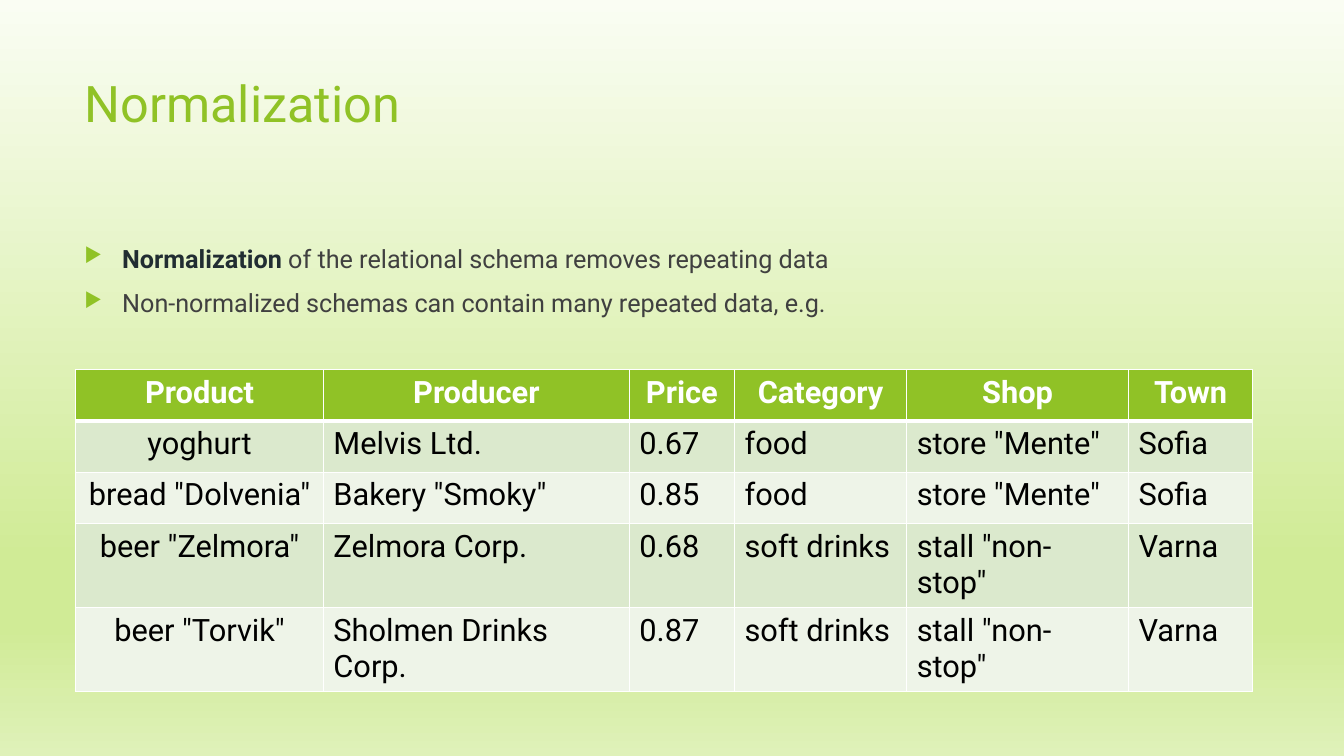
"""Build the Normalization slide with its example table."""
from lxml import etree
from pptx import Presentation
from pptx import util as u
from pptx.dml.color import RGBColor
from pptx.enum import text
from pptx.oxml import ns

FONT = "Roboto"
GREEN = RGBColor(0x90, 0xC2, 0x26)
DARK = RGBColor(0x21, 0x2D, 0x32)
GRAY = RGBColor(0x40, 0x40, 0x40)
BLACK = RGBColor(0, 0, 0)
WHITE = RGBColor(0xFF, 0xFF, 0xFF)
BANDS = [RGBColor(0xDB, 0xE9, 0xCD), RGBColor(0xEE, 0xF4, 0xE8)]
BACKGROUND = [(0, "FAFDF3"), (74, "D0EB96"), (83, "D0EB96"), (100, "DFF1B9")]

BULLETS = [
    [("Normalization", True, DARK),
     (" of the relational schema removes repeating data", False, GRAY)],
    [("Non-normalized schemas can contain many repeated data, e.g.", False, GRAY)],
]
COLUMN_WIDTHS = [6.24, 7.71, 2.65, 4.34, 5.59, 3.13]
ROW_HEIGHTS = [1.29, 1.29, 1.29, 1.35, 1.35]
PRODUCTS = [
    ["Product", "Producer", "Price", "Category", "Shop", "Town"],
    ["yoghurt", "Melvis Ltd.", "0.67", "food", 'store "Mente"', "Sofia"],
    ['bread "Dolvenia"', 'Bakery "Smoky"', "0.85", "food", 'store "Mente"', "Sofia"],
    ['beer "Zelmora"', "Zelmora Corp.", "0.68", "soft drinks", 'stall "non-stop"', "Varna"],
    ['beer "Torvik"', "Sholmen Drinks Corp.", "0.87", "soft drinks", 'stall "non-stop"', "Varna"],
]


def add_element(parent, tag, **attributes):
    return etree.SubElement(parent, ns.qn(tag), attributes)


def write(paragraph, words, size, color, bold=False, align=text.PP_ALIGN.LEFT):
    paragraph.alignment = align
    run = paragraph.add_run()
    run.text = words
    run.font.name = FONT
    run.font.size = u.Pt(size)
    run.font.bold = bold
    run.font.color.rgb = color


class SlideBuilder:
    def __init__(self, presentation):
        self.slide = presentation.slides.add_slide(presentation.slide_layouts[5])

    def background(self, stops):
        fill = self.slide.background.fill
        fill.gradient()
        fill.gradient_angle = 270
        stop_list = next(self.slide.element.iter(ns.qn("a:gsLst")))
        for stop in list(stop_list):
            stop_list.remove(stop)
        for position, color in stops:
            stop = add_element(stop_list, "a:gs", pos=str(position * 1000))
            add_element(stop, "a:srgbClr", val=color)

    def title(self, words, left, top, width, height):
        shape = self.slide.shapes.title
        shape.left, shape.top = u.Cm(left), u.Cm(top)
        shape.width, shape.height = u.Cm(width), u.Cm(height)
        shape.text_frame.vertical_anchor = text.MSO_ANCHOR.TOP
        write(shape.text_frame.paragraphs[0], words, 36, GREEN)

    def text_box(self, left, top, width, height, anchor=text.MSO_ANCHOR.TOP):
        shape = self.slide.shapes.add_textbox(
            u.Cm(left), u.Cm(top), u.Cm(width), u.Cm(height))
        shape.text_frame.word_wrap = True
        shape.text_frame.vertical_anchor = anchor
        return shape.text_frame

    def bullets(self, items, left, top, width, height):
        frame = self.text_box(left, top, width, height)
        for index, runs in enumerate(items):
            paragraph = frame.add_paragraph() if index else frame.paragraphs[0]
            paragraph.space_before = u.Pt(10)
            for words, bold, color in runs:
                write(paragraph, words, 18, color, bold)
            properties = paragraph._p.get_or_add_pPr()
            indent = u.Cm(0.95)
            properties.set("marL", str(indent))
            properties.set("indent", str(-indent))
            bullet_color = add_element(properties, "a:buClr")
            add_element(bullet_color, "a:srgbClr", val=str(GREEN))
            add_element(properties, "a:buSzPct", val="80000")
            add_element(properties, "a:buChar", char="▶")

    def slide_number(self, words, left, top, width, height):
        frame = self.text_box(left, top, width, height, text.MSO_ANCHOR.MIDDLE)
        write(frame.paragraphs[0], words, 9, GREEN, align=text.PP_ALIGN.RIGHT)

    def cell_borders(self, cell, row):
        properties = cell._tc.get_or_add_tcPr()
        widths = {"L": 1, "R": 1, "T": 3 if row == 1 else 1, "B": 3 if row == 0 else 1}
        for side, width in widths.items():
            line = add_element(properties, f"a:ln{side}", w=str(u.Pt(width)))
            fill = add_element(line, "a:solidFill")
            add_element(fill, "a:srgbClr", val=str(WHITE))

    def table(self, rows, left, top, widths, heights):
        table = self.slide.shapes.add_table(
            len(rows), len(widths), u.Cm(left), u.Cm(top),
            u.Cm(sum(widths)), u.Cm(sum(heights))).table
        table.horz_banding = False
        for column, width in zip(table.columns, widths):
            column.width = u.Cm(width)
        for row, (values, height) in enumerate(zip(rows, heights)):
            table.rows[row].height = u.Cm(height)
            header = row == 0
            for column, value in enumerate(values):
                cell = table.cell(row, column)
                self.cell_borders(cell, row)
                cell.fill.solid()
                cell.fill.fore_color.rgb = GREEN if header else BANDS[(row - 1) % 2]
                centered = header or column == 0
                write(cell.text_frame.paragraphs[0], value, 22,
                      WHITE if header else BLACK, header,
                      text.PP_ALIGN.CENTER if centered else text.PP_ALIGN.LEFT)


def main():
    presentation = Presentation()
    presentation.slide_width, presentation.slide_height = u.Cm(33.87), u.Cm(19.05)
    builder = SlideBuilder(presentation)
    builder.background(BACKGROUND)
    builder.title("Normalization", 1.88, 1.7, 23.88, 3.66)
    builder.bullets(BULLETS, 1.88, 6, 23.88, 10.77)
    builder.slide_number("27", 23.85, 16.79, 1.9, 1.02)
    builder.table(PRODUCTS, 1.91, 9.32, COLUMN_WIDTHS, ROW_HEIGHTS)
    presentation.save("out.pptx")


if __name__ == "__main__":
    main()
